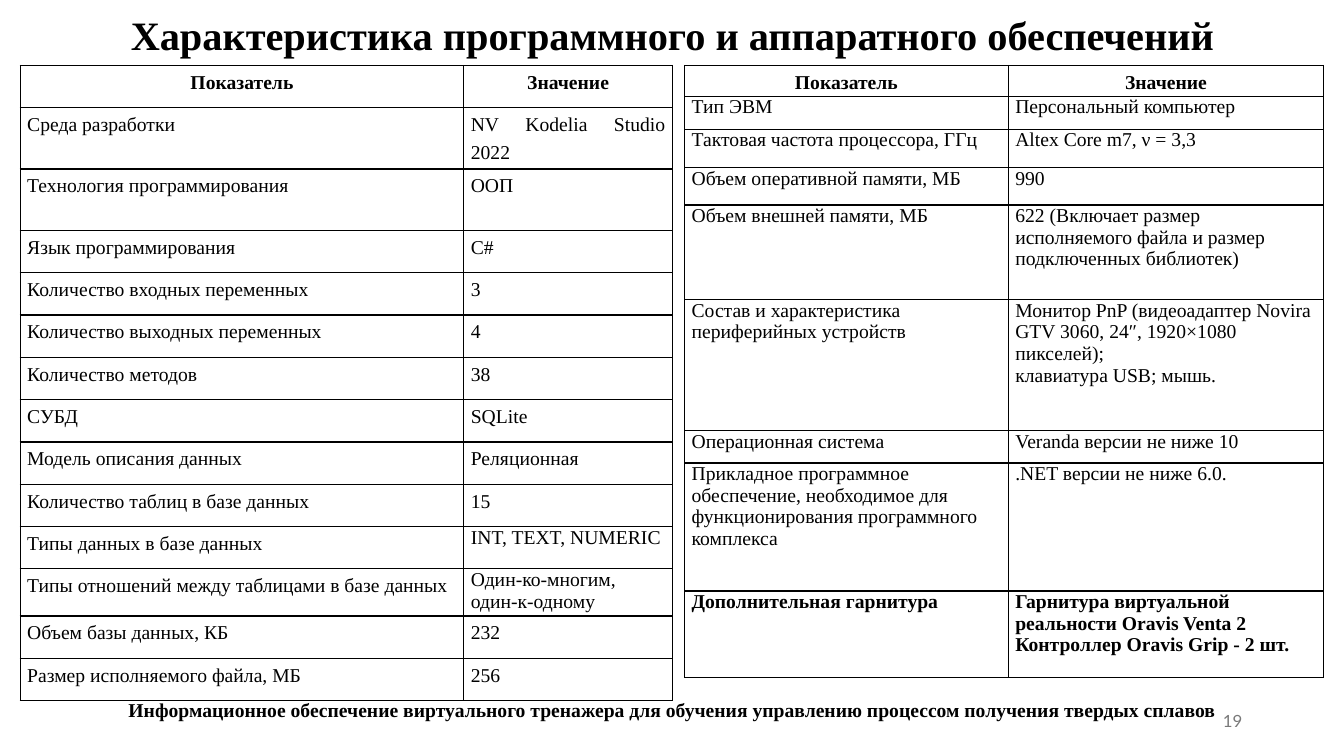
from dataclasses import dataclass

from lxml import etree
from pptx import Presentation
from pptx import util as u
from pptx.dml.color import RGBColor
from pptx.enum import text
from pptx.oxml.ns import qn

AL = text.PP_ALIGN
MIDDLE, TOP = text.MSO_ANCHOR.MIDDLE, text.MSO_ANCHOR.TOP


@dataclass(frozen=True)
class Theme:
    serif: str = "Times New Roman"
    sans: str = "Lato"
    ink: str = "000000"
    muted: str = "797979"
    title: float = 28.8
    body: float = 14
    number: float = 12
    border: float = 1
    cell_margin: float = 0.07
    loose: float = 1.3


class SlideBuilder:
    def __init__(self, prs, theme):
        self.theme = theme
        self.s = prs.slides.add_slide(prs.slide_layouts[6])

    def set_text(self, tf, value, size, font=None, color=None, bold=False,
                 align=AL.LEFT, spacing=None):
        """Fill a text frame, one paragraph per line."""
        tf.text = value
        for p in tf.paragraphs:
            p.alignment = align
            if spacing:
                p.line_spacing = spacing
            for r in p.runs:
                r.font.name = font or self.theme.serif
                r.font.size = u.Pt(size)
                r.font.bold = bold
                r.font.color.rgb = RGBColor.from_string(color or self.theme.ink)

    def label(self, box, value, size, anchor=TOP, **style):
        sp = self.s.shapes.add_textbox(*map(u.Inches, box))
        tf = sp.text_frame
        tf.word_wrap = True
        tf.vertical_anchor = anchor
        self.set_text(tf, value, size, **style)

    def border(self, cell):
        tc_pr = cell._tc.get_or_add_tcPr()
        for i, side in enumerate(("lnL", "lnR", "lnT", "lnB")):
            ln = etree.Element(qn(f"a:{side}"), w=str(u.Pt(self.theme.border)))
            fill = etree.SubElement(ln, qn("a:solidFill"))
            etree.SubElement(fill, qn("a:srgbClr"), val=self.theme.ink)
            tc_pr.insert(i, ln)

    def table(self, left, top, widths, heights, rows, style):
        """Draw a grid; style(row, column) gives the text settings of a cell."""
        frame = self.s.shapes.add_table(
            len(rows), len(widths), u.Inches(left), u.Inches(top),
            u.Inches(sum(widths)), u.Inches(sum(heights)))
        tbl = frame.table
        tbl.first_row = tbl.horz_banding = False
        for col, width in zip(tbl.columns, widths):
            col.width = u.Inches(width)
        for i, (height, values) in enumerate(zip(heights, rows)):
            tbl.rows[i].height = u.Inches(height)
            for j, value in enumerate(values):
                cell = tbl.cell(i, j)
                cell.margin_left = cell.margin_right = u.Inches(self.theme.cell_margin)
                cell.margin_top = cell.margin_bottom = 0
                cell.fill.background()
                self.border(cell)
                self.set_text(cell.text_frame, value, self.theme.body, **style(i, j))


THEME = Theme()
HEADER = ("Показатель", "Значение")
HEADER_STYLE = dict(bold=True, align=AL.CENTER, spacing=THEME.loose)

SOFTWARE = [
    HEADER,
    ("Среда разработки", "NV Kodelia Studio 2022"),
    ("Технология программирования", "ООП"),
    ("Язык программирования", "C#"),
    ("Количество входных переменных", "3"),
    ("Количество выходных переменных", "4"),
    ("Количество методов", "38"),
    ("СУБД", "SQLite"),
    ("Модель описания данных", "Реляционная"),
    ("Количество таблиц в базе данных", "15"),
    ("Типы данных в базе данных", "INT, TEXT, NUMERIC"),
    ("Типы отношений между таблицами в базе данных",
     "Один-ко-многим, один-к-одному"),
    ("Объем базы данных, КБ", "232"),
    ("Размер исполняемого файла, МБ", "256"),
]
SOFTWARE_HEIGHTS = [0.61 if i == 2 else 0.42 for i in range(len(SOFTWARE))]
TIGHT_VALUES = (10, 11)

HARDWARE = [
    HEADER,
    ("Тип ЭВМ", "Персональный компьютер"),
    ("Тактовая частота процессора, ГГц", "Altex Core m7, ν = 3,3"),
    ("Объем оперативной памяти, МБ", "990"),
    ("Объем внешней памяти, МБ",
     "622 (Включает размер исполняемого файла и размер подключенных библиотек)"),
    ("Состав и характеристика периферийных устройств",
     "Монитор PnP (видеоадаптер Novira GTV 3060, 24″, 1920×1080 пикселей);\n"
     "клавиатура USB; мышь."),
    ("Операционная система", "Veranda версии не ниже 10"),
    ("Прикладное программное обеспечение, необходимое для "
     "функционирования программного комплекса", ".NET версии не ниже 6.0."),
    ("Дополнительная гарнитура",
     "Гарнитура виртуальной реальности Oravis Venta 2\n"
     "Контроллер Oravis Grip - 2 шт."),
]
HARDWARE_HEIGHTS = [0.29, 0.33, 0.38, 0.37, 0.94, 1.3, 0.32, 1.27, 0.86]


def software_style(i, j):
    if i == 0:
        return HEADER_STYLE
    tight = j == 1 and i in TIGHT_VALUES
    return dict(align=AL.JUSTIFY if j else AL.LEFT,
                spacing=None if tight else THEME.loose)


def hardware_style(i, j):
    return HEADER_STYLE if i == 0 else dict(bold=i == len(HARDWARE) - 1)


def main():
    prs = Presentation()
    prs.slide_width, prs.slide_height = u.Inches(13.33), u.Inches(7.5)
    b = SlideBuilder(prs, THEME)

    # Title
    b.label((0.92, 0, 11.5, 0.74),
            "Характеристика программного и аппаратного обеспечений",
            THEME.title, MIDDLE, bold=True, align=AL.CENTER, spacing=0.9)

    # Slide number and footer
    b.label((9.42, 6.95, 3, 0.4), "19", THEME.number, MIDDLE,
            font=THEME.sans, color=THEME.muted, align=AL.RIGHT)
    b.label((0.92, 6.87, 11.5, 0.34),
            "Информационное обеспечение виртуального тренажера для обучения "
            "управлению процессом получения твердых сплавов",
            THEME.body, bold=True, align=AL.CENTER)

    # Software and hardware tables
    b.table(0.2, 0.65, (4.4, 2.07), SOFTWARE_HEIGHTS, SOFTWARE, software_style)
    b.table(6.79, 0.65, (3.21, 3.13), HARDWARE_HEIGHTS, HARDWARE, hardware_style)

    prs.save("out.pptx")


if __name__ == "__main__":
    main()
